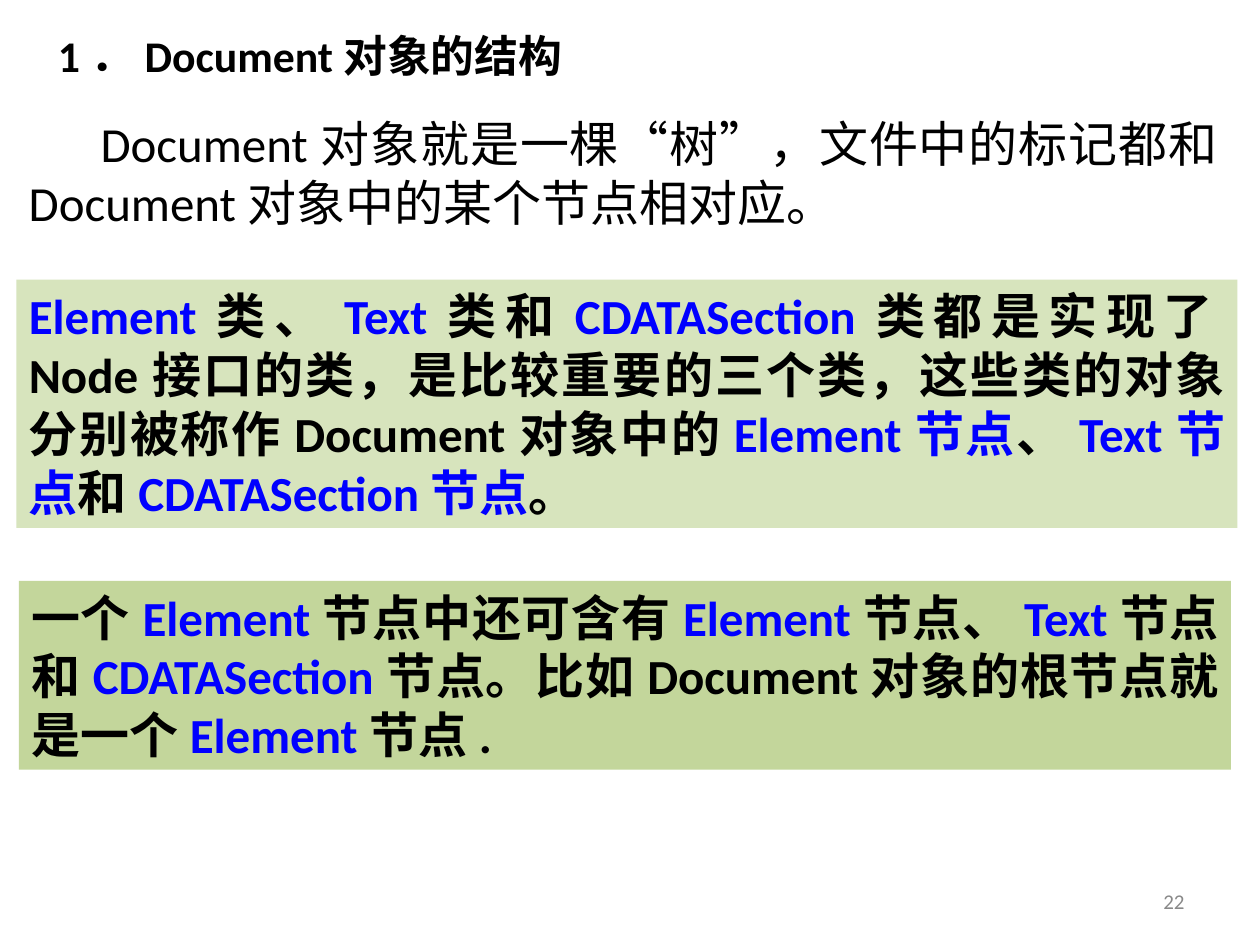
"""Builds the slide on the structure of the Document object."""
from dataclasses import dataclass

from pptx import Presentation
from pptx.dml.color import RGBColor
from pptx.enum.shapes import MSO_SHAPE
from pptx.enum.text import MSO_ANCHOR, MSO_AUTO_SIZE, PP_ALIGN
from pptx.util import Inches, Pt


@dataclass(frozen=True)
class Theme:
    font: str = "Calibri"
    ink: str = "000000"
    accent: str = "0000FF"
    muted: str = "898989"
    title_size: int = 25
    body_size: int = 28
    number_size: int = 12


THEME = Theme()
SLIDE_SIZE = (10, 7.5)
MARK = "|"

HEADING = "1．Document对象的结构"
HEADING_BOX = (0.2, 0.16, 6.37, 0.56)
PAGE_NUMBER = "22"
PAGE_NUMBER_BOX = (7.17, 6.95, 2.33, 0.4)

PANELS = [
    dict(
        text="Document对象就是一棵“树”，文件中的标记都和Document对象中的某个节点相对应。",
        box=(0.13, 0.85, 9.73, 1.04), fill="FFFFFF", bold=False, indent=0.57,
    ),
    dict(
        text="|Element|类、|Text|类和|CDATASection|类都是实现了Node接口的类，"
             "是比较重要的三个类，这些类的对象分别被称作Document对象中的"
             "|Element节点|、|Text节点|和|CDATASection节点|。",
        box=(0.13, 2.22, 9.69, 1.97), fill="D7E4BD", bold=True, indent=0,
    ),
    dict(
        text="一个|Element|节点中还可含有|Element|节点、|Text|节点和|CDATASection|"
             "节点。比如Document对象的根节点就是一个|Element|节点.",
        box=(0.15, 4.61, 9.62, 1.5), fill="C3D69B", bold=True, indent=0,
    ),
]


def inches(box):
    """Convert a box in inches to slide units."""
    return [Inches(length) for length in box]


def write(paragraph, text, size, color=THEME.ink, bold=False, align=PP_ALIGN.LEFT, indent=0):
    """Fill a paragraph, giving the accent colour to the parts between marks."""
    paragraph.alignment = align
    if indent:
        properties = paragraph._p.get_or_add_pPr()
        properties.set("marL", "0")
        properties.set("indent", str(Inches(indent)))
    for position, part in enumerate(text.split(MARK)):
        if not part:
            continue
        run = paragraph.add_run()
        run.text = part
        run.font.name = THEME.font
        run.font.size = Pt(size)
        run.font.bold = bold
        run.font.color.rgb = RGBColor.from_string(THEME.accent if position % 2 else color)


def add_heading(slide):
    """Place the heading in the title placeholder."""
    heading = slide.shapes.title
    heading.left, heading.top, heading.width, heading.height = inches(HEADING_BOX)
    frame = heading.text_frame
    frame.auto_size = MSO_AUTO_SIZE.NONE
    frame.vertical_anchor = MSO_ANCHOR.MIDDLE
    write(frame.paragraphs[0], HEADING, THEME.title_size, bold=True, indent=0.16)


def add_panel(slide, text, box, fill, bold, indent):
    """Add one filled panel of justified text."""
    panel = slide.shapes.add_shape(MSO_SHAPE.RECTANGLE, *inches(box))
    panel.shadow.inherit = False
    panel.fill.solid()
    panel.fill.fore_color.rgb = RGBColor.from_string(fill)
    panel.line.fill.background()
    frame = panel.text_frame
    frame.word_wrap = True
    frame.auto_size = MSO_AUTO_SIZE.SHAPE_TO_FIT_TEXT
    frame.vertical_anchor = MSO_ANCHOR.TOP
    write(frame.paragraphs[0], text, THEME.body_size, bold=bold,
          align=PP_ALIGN.JUSTIFY, indent=indent)


def add_page_number(slide):
    """Add the page number at the lower right."""
    frame = slide.shapes.add_textbox(*inches(PAGE_NUMBER_BOX)).text_frame
    frame.word_wrap = True
    frame.vertical_anchor = MSO_ANCHOR.MIDDLE
    write(frame.paragraphs[0], PAGE_NUMBER, THEME.number_size, THEME.muted,
          align=PP_ALIGN.RIGHT)


def main():
    """Build and save the slide."""
    deck = Presentation()
    deck.slide_width, deck.slide_height = inches(SLIDE_SIZE)
    slide = deck.slides.add_slide(deck.slide_layouts.get_by_name("Title Only"))
    add_heading(slide)
    for panel in PANELS:
        add_panel(slide, **panel)
    add_page_number(slide)
    deck.save("out.pptx")


if __name__ == "__main__":
    main()
